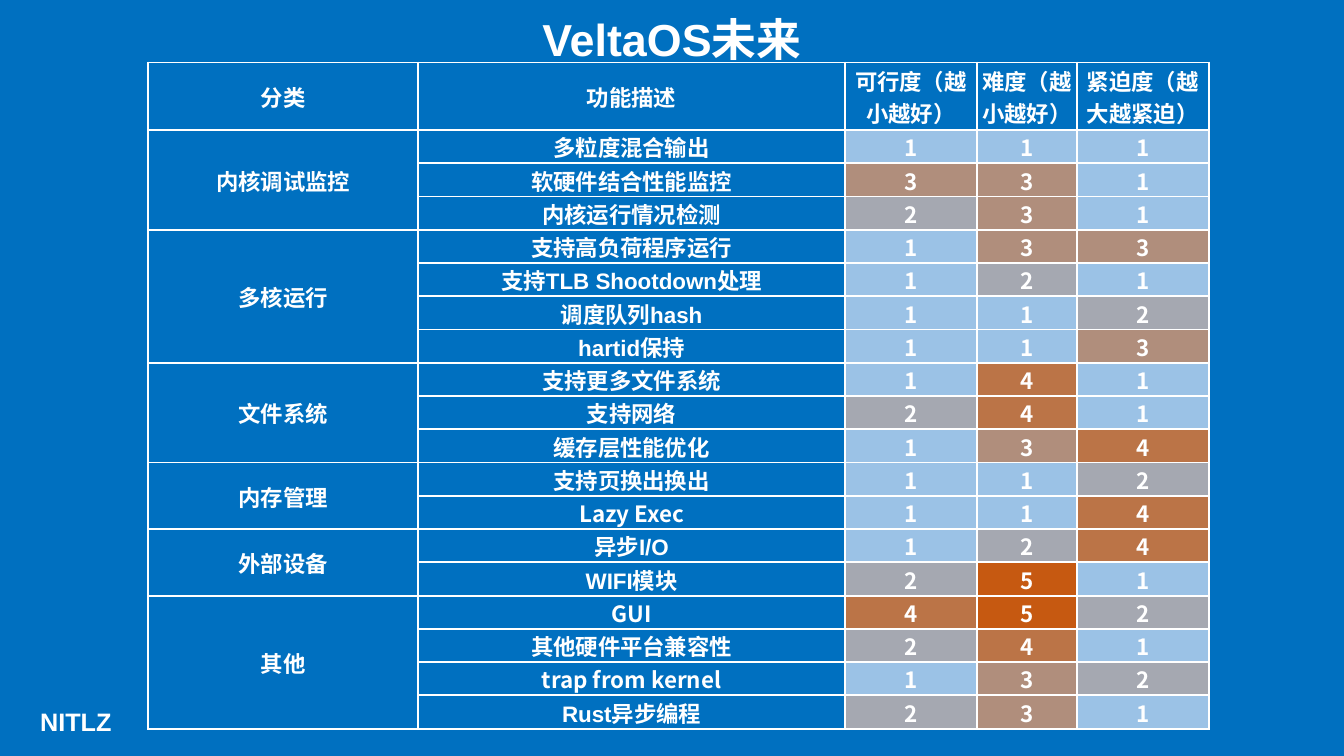
from lxml.etree import SubElement, Element
from pptx import Presentation
from pptx.dml.color import RGBColor
from pptx.enum.text import MSO_ANCHOR as Anchor, PP_ALIGN as Align
from pptx.oxml.ns import qn
from pptx.util import Inches, Pt

BLUE = RGBColor(0x00, 0x70, 0xC0)
WHITE = RGBColor(0xFF, 0xFF, 0xFF)
SCORE_COLORS = {
    1: RGBColor(0x9B, 0xC2, 0xE6),
    2: RGBColor(0xA5, 0xA8, 0xB1),
    3: RGBColor(0xB0, 0x8E, 0x7C),
    4: RGBColor(0xBB, 0x74, 0x47),
    5: RGBColor(0xC6, 0x59, 0x11),
}
LATIN_FONT, CJK_FONT = "Arial", "Noto Sans CJK SC"

HEADERS = ["分类", "功能描述", "可行度（越小越好）", "难度（越小越好）", "紧迫度（越大越紧迫）"]
FEATURES = {
    "内核调试监控": [
        ("多粒度混合输出", 1, 1, 1),
        ("软硬件结合性能监控", 3, 3, 1),
        ("内核运行情况检测", 2, 3, 1),
    ],
    "多核运行": [
        ("支持高负荷程序运行", 1, 3, 3),
        ("支持TLB Shootdown处理", 1, 2, 1),
        ("调度队列hash", 1, 1, 2),
        ("hartid保持", 1, 1, 3),
    ],
    "文件系统": [
        ("支持更多文件系统", 1, 4, 1),
        ("支持网络", 2, 4, 1),
        ("缓存层性能优化", 1, 3, 4),
    ],
    "内存管理": [
        ("支持页换出换出", 1, 1, 2),
        ("Lazy Exec", 1, 1, 4),
    ],
    "外部设备": [
        ("异步I/O", 1, 2, 4),
        ("WIFI模块", 2, 5, 1),
    ],
    "其他": [
        ("GUI", 4, 5, 2),
        ("其他硬件平台兼容性", 2, 4, 1),
        ("trap from kernel", 1, 3, 2),
        ("Rust异步编程", 2, 3, 1),
    ],
}
# Percent of the slide's width and height
COLUMN_SHARES = [20.1, 31.73, 9.83, 7.43, 9.83]
HEADER_SHARE, ROW_SHARE = 8.93, 4.4


class SlideBuilder:
    """Draws on one slide; every length is a percentage of the slide's size."""

    def __init__(self, presentation):
        self.width = presentation.slide_width
        self.height = presentation.slide_height
        self.slide = presentation.slides.add_slide(presentation.slide_layouts[6])
        fill = self.slide.background.fill
        fill.solid()
        fill.fore_color.rgb = BLUE

    def across(self, share):
        return round(self.width * share / 100)

    def down(self, share):
        return round(self.height * share / 100)

    def box(self, left, top, width, height):
        return self.across(left), self.down(top), self.across(width), self.down(height)

    def add_run(self, paragraph, text, size, align, latin_font=LATIN_FONT):
        paragraph.alignment = align
        run = paragraph.add_run()
        run.text = text
        font = run.font
        font.size, font.bold = Pt(size), True
        font.color.rgb = WHITE
        font.name = latin_font
        SubElement(run._r.get_or_add_rPr(), qn("a:ea"), typeface=CJK_FONT)

    def text(self, text, place, size, align=Align.LEFT, anchor=Anchor.TOP, spacing=1.0):
        frame = self.slide.shapes.add_textbox(*self.box(*place)).text_frame
        frame.word_wrap = True
        frame.vertical_anchor = anchor
        paragraph = frame.paragraphs[0]
        paragraph.line_spacing = spacing
        self.add_run(paragraph, text, size, align)

    def table(self, left, top, row_count):
        place = self.box(left, top, sum(COLUMN_SHARES),
                         HEADER_SHARE + ROW_SHARE * (row_count - 1))
        table = self.slide.shapes.add_table(row_count, len(COLUMN_SHARES), *place).table
        table.first_row = table.horz_banding = False
        for column, share in zip(table.columns, COLUMN_SHARES):
            column.width = self.across(share)
        for index, row in enumerate(table.rows):
            row.height = self.down(ROW_SHARE if index else HEADER_SHARE)
        for cell in table.iter_cells():
            cell.fill.background()
            cell.vertical_anchor = Anchor.MIDDLE
            cell.margin_left = cell.margin_right = cell.margin_top = Inches(0.01)
            cell.margin_bottom = 0
            self.borders(cell)
        return table

    def borders(self, cell):
        properties = cell._tc.get_or_add_tcPr()
        for index, side in enumerate(("lnL", "lnR", "lnT", "lnB")):
            line = Element(qn(f"a:{side}"), w=str(Pt(1.5)))
            fill = SubElement(line, qn("a:solidFill"))
            SubElement(fill, qn("a:srgbClr"), val=str(WHITE))
            properties.insert(index, line)

    def fill_cell(self, cell, value):
        text = str(value)
        self.add_run(cell.text_frame.paragraphs[0], text, 16, Align.CENTER,
                     CJK_FONT if text.isascii() else LATIN_FONT)
        if value in SCORE_COLORS:
            cell.fill.solid()
            cell.fill.fore_color.rgb = SCORE_COLORS[value]


def main():
    presentation = Presentation()
    presentation.slide_width, presentation.slide_height = Inches(13.33), Inches(7.5)
    builder = SlideBuilder(presentation)
    builder.text("VeltaOS未来", (13.28, 1.2, 73.44, 8.67), 32,
                 Align.CENTER, Anchor.MIDDLE, 0.9)
    builder.text("NITLZ", (2.25, 92.8, 14.85, 5.33), 18)

    table = builder.table(11.03, 8.27, 1 + sum(map(len, FEATURES.values())))
    for column, header in enumerate(HEADERS):
        builder.fill_cell(table.cell(0, column), header)
    row = 1
    for category, features in FEATURES.items():
        category_cell = table.cell(row, 0)
        category_cell.merge(table.cell(row + len(features) - 1, 0))
        builder.fill_cell(category_cell, category)
        for feature in features:
            for column, value in enumerate(feature, start=1):
                builder.fill_cell(table.cell(row, column), value)
            row += 1
    presentation.save("out.pptx")


if __name__ == "__main__":
    main()
